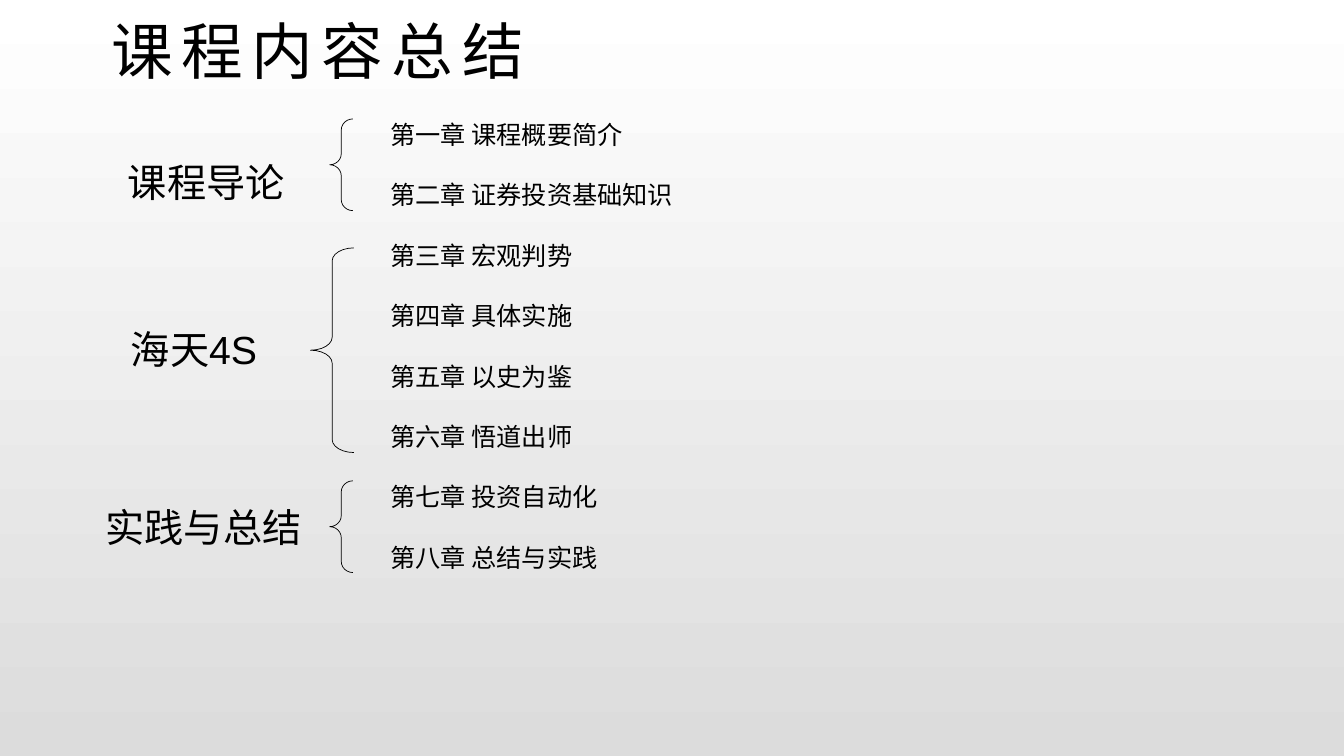
from pptx import Presentation
from pptx.dml.color import RGBColor
from pptx.enum.shapes import MSO_SHAPE as Shape
from pptx.enum.text import MSO_ANCHOR as Anchor, MSO_AUTO_SIZE as AutoSize, PP_ALIGN as Align
from pptx.oxml.ns import qn
from pptx.util import Inches, Pt
from lxml.etree import SubElement

CELL = 0.1
TITLE = "课程内容总结"
CHAPTERS = ["第一章 课程概要简介", "第二章 证券投资基础知识", "第三章 宏观判势", "第四章 具体实施",
            "第五章 以史为鉴", "第六章 悟道出师", "第七章 投资自动化", "第八章 总结与实践"]
SHORT_BRACE = dict(column=32.7, columns=2.3, rows=9.1, curl=0.48)
TALL_BRACE = dict(column=30.8, columns=4.3, rows=20.3, curl=0.3)
GROUPS = [
    ("课程导论", (8.9, 15.2, 22.5, 5.7), 2.8, 11.8, SHORT_BRACE),
    ("海天4S", (7.7, 31.8, 22.5, 5.7), 4.3, 24.6, TALL_BRACE),
    ("实践与总结", (7.8, 49.4, 23.5, 5.7), 1.7, 47.7, SHORT_BRACE),
]


def color(value):
    return RGBColor.from_string(value)


def cells(count):
    return Inches(count * CELL)


def apply(target, values):
    for name, value in values.items():
        setattr(target, name, value)


class Board:
    latin = "Arial"
    asian = "Noto Sans CJK SC"
    ink = "000000"

    def __init__(self, deck):
        self.page = deck.slides.add_slide(deck.slide_layouts[1])

    def background(self, top, bottom):
        fill = self.page.background.fill
        fill.gradient()
        fill.gradient_angle = 270
        for stop, value in zip(fill.gradient_stops, (top, bottom)):
            stop.color.rgb = color(value)

    def set_text(self, box, area, lines, size, anchor, indent=0, spacing=0, **para_format):
        apply(box, dict(zip(("left", "top", "width", "height"), map(cells, area))))
        frame = box.text_frame
        apply(frame, dict(text="\n".join(lines), word_wrap=True, auto_size=AutoSize.NONE,
                          vertical_anchor=anchor, margin_left=cells(1), margin_right=cells(1),
                          margin_top=cells(0.5), margin_bottom=cells(0.5)))
        for para in frame.paragraphs:
            apply(para, dict(alignment=Align.LEFT, space_before=Pt(0), **para_format))
            props = para._p.get_or_add_pPr()
            props.set("marL", str(cells(indent)))
            props.set("indent", "0")
            SubElement(props, qn("a:buNone"))
            for span in para.runs:
                apply(span.font, dict(name=self.latin, size=Pt(size), bold=False))
                span.font.color.rgb = color(self.ink)
                run_props = span._r.get_or_add_rPr()
                SubElement(run_props, qn("a:ea")).set("typeface", self.asian)
                if spacing:
                    run_props.set("spc", str(spacing * 100))

    def title(self, text, area):
        self.set_text(self.page.shapes.title, area, [text], 44, Anchor.MIDDLE, spacing=6)

    def chapters(self, lines, area):
        self.set_text(self.page.placeholders[1], area, lines, 18, Anchor.TOP,
                      line_spacing=Pt(22.5), space_after=Pt(20.65))

    def label(self, text, area, indent):
        box = self.page.shapes.add_textbox(0, 0, 0, 0)
        self.set_text(box, area, [text], 28, Anchor.MIDDLE, indent)

    def brace(self, row, column, columns, rows, curl):
        brace = self.page.shapes.add_shape(Shape.LEFT_BRACE, *map(cells, (column, row, columns, rows)))
        brace.adjustments[0] = curl
        brace.shadow.inherit = False
        brace.fill.background()
        brace.line.color.rgb = color(self.ink)
        brace.line.width = Pt(0.5)


deck = Presentation()
apply(deck, dict(slide_width=Inches(13.33), slide_height=Inches(7.5)))
board = Board(deck)
board.background("FFFFFF", "DCDCDC")
board.title(TITLE, (10.1, 0, 87.5, 9.8))
board.chapters(CHAPTERS, (37.7, 11.2, 41.2, 49.5))
for name, area, indent, brace_row, brace_style in GROUPS:
    board.label(name, area, indent)
    board.brace(brace_row, **brace_style)
deck.save("out.pptx")
